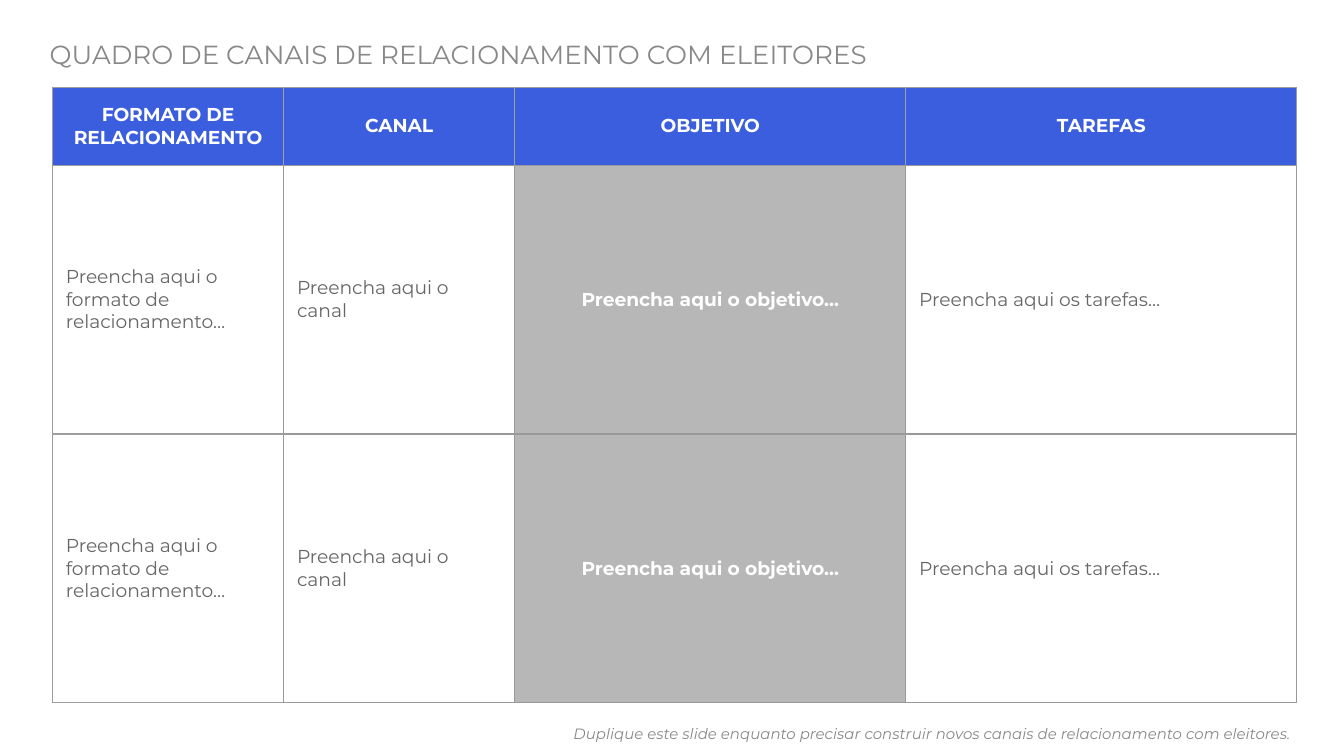
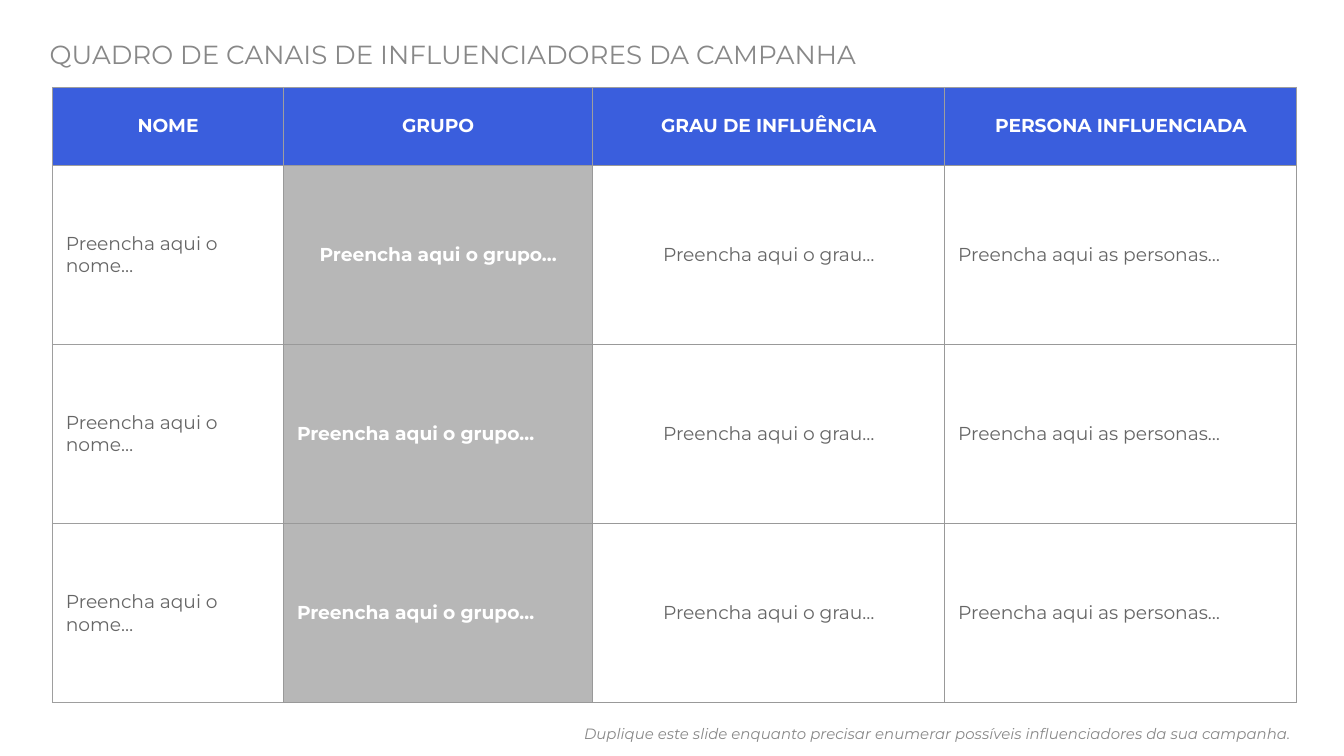
from lxml.etree import SubElement as Sub
from pptx import Presentation
from pptx.dml.color import RGBColor as RGB
from pptx.enum.text import MSO_ANCHOR as Anchor, MSO_AUTO_SIZE as Fit, PP_ALIGN as Align
from pptx.oxml.ns import qn
from pptx.util import Inches, Pt

# Shared look
FONT = "Montserrat"
WHITE = RGB(0xFF, 0xFF, 0xFF)
BLUE = RGB(0x3A, 0x5E, 0xDD)
GRAY = RGB(0xB7, 0xB7, 0xB7)
MUTED = RGB(0x88, 0x88, 0x88)
INK = RGB(0x66, 0x66, 0x66)
EDGE = RGB(0x9E, 0x9E, 0x9E)
RULE = RGB(0x99, 0x99, 0x99)
LEFT, MID, RIGHT = Align.LEFT, Align.CENTER, Align.RIGHT

# Shared grid, in inches: left, top, width, height
WIDE = 10
HIGH = WIDE * 9 / 16
GRID = (0.39, 0.65, 9.26, 4.58)
NOTE = (2.54, 5.3, 7.17, 0.3)
HEAD = 0.58
PAD = Inches(0.1)


def write(para, text, size, color, align=LEFT, bold=False, italic=False):
    """Fill a paragraph run by run, with a line break at each new line."""
    para.alignment = align
    for i, line in enumerate(text.split("\n")):
        if i:
            para.add_line_break()
        run = para.add_run()
        run.text = line
        font = run.font
        font.name, font.size = FONT, Pt(size)
        font.bold, font.italic = bold, italic
        font.color.rgb = color


def pad(item):
    """Give a cell or a text frame the shared margins."""
    item.margin_left = item.margin_right = PAD
    item.margin_top = item.margin_bottom = PAD
    item.vertical_anchor = Anchor.MIDDLE


def frame(shape):
    text = shape.text_frame
    pad(text)
    text.word_wrap = True
    text.auto_size = Fit.NONE
    return text.paragraphs[0]


def border(cell, color):
    props = cell._tc.get_or_add_tcPr()
    for side in ("lnL", "lnR", "lnT", "lnB"):
        line = Sub(props, qn(f"a:{side}"), w=str(Pt(0.75)))
        fill = Sub(line, qn("a:solidFill"))
        Sub(fill, qn("a:srgbClr"), val=str(color))


def head(slide, box, text):
    title = slide.shapes.title
    title.left, title.top, title.width, title.height = map(Inches, box)
    write(frame(title), text, 14, MUTED)


def note(slide, box, text):
    para = frame(slide.shapes.add_textbox(*map(Inches, box)))
    write(para, text, 8, MUTED, RIGHT, italic=True)
    para.line_spacing = 1.15
    props = para._p.get_or_add_pPr()
    props.set("marL", str(Inches(0.5)))
    props.set("indent", "0")


def board(slide, box, cols, count, key):
    """Draw a header and equal body rows; column `key` is the gray one.

    Each column is (share of width, heading, prompt, one align per row).
    """
    table = slide.shapes.add_table(count + 1, len(cols), *map(Inches, box)).table
    table.first_row = table.horz_banding = False
    wide, high = box[2:]
    table.rows[0].height = Inches(HEAD)
    for r in range(1, count + 1):
        table.rows[r].height = Inches((high - HEAD) / count)
    total = sum(col[0] for col in cols)
    for c, (share, label, prompt, aligns) in enumerate(cols):
        table.columns[c].width = Inches(wide * share / total)
        for r in range(count + 1):
            cell = table.cell(r, c)
            pad(cell)
            border(cell, EDGE if r == 0 or c == 0 else RULE)
            top, strong = r == 0, r == 0 or c == key
            if c == 0 and not top:
                cell.fill.background()
            else:
                cell.fill.solid()
                cell.fill.fore_color.rgb = BLUE if top else GRAY if strong else WHITE
            write(cell.text_frame.paragraphs[0], label if top else prompt, 10,
                  WHITE if strong else INK, MID if top else aligns[r - 1], strong)


def page(deck, title, span, cols, count, key, hint):
    """Build one slide; `span` is the width of its title."""
    slide = deck.slides.add_slide(deck.slide_layouts[5])
    slide.background.fill.solid()
    slide.background.fill.fore_color.rgb = WHITE
    head(slide, (0.27, 0.25, span, 0.3), title)
    board(slide, GRID, cols, count, key)
    note(slide, NOTE, hint)


def main():
    deck = Presentation()
    deck.slide_width, deck.slide_height = Inches(WIDE), Inches(HIGH)

    # Channels for voters
    page(deck, "QUADRO DE CANAIS DE RELACIONAMENTO COM ELEITORES", 6.76, [
        (1.72, "FORMATO DE\nRELACIONAMENTO",
         "Preencha aqui o formato de relacionamento…", [LEFT] * 2),
        (1.72, "CANAL", "Preencha aqui o canal", [LEFT] * 2),
        (2.91, "OBJETIVO", "Preencha aqui o objetivo…", [MID] * 2),
        (2.91, "TAREFAS", "Preencha aqui os tarefas…", [LEFT] * 2),
    ], 2, 2, "Duplique este slide enquanto precisar construir novos canais "
             "de relacionamento com eleitores.")

    # Campaign influencers
    page(deck, "QUADRO DE CANAIS DE INFLUENCIADORES DA CAMPANHA", 7.95, [
        (1.72, "NOME", "Preencha aqui o nome…", [LEFT] * 3),
        (2.3, "GRUPO", "Preencha aqui o grupo…", [MID, LEFT, LEFT]),
        (2.62, "GRAU DE INFLUÊNCIA", "Preencha aqui o grau…", [MID] * 3),
        (2.62, "PERSONA INFLUENCIADA", "Preencha aqui as personas…", [LEFT] * 3),
    ], 3, 1, "Duplique este slide enquanto precisar enumerar possíveis "
             "influenciadores da sua campanha.")

    deck.save("out.pptx")


if __name__ == "__main__":
    main()
